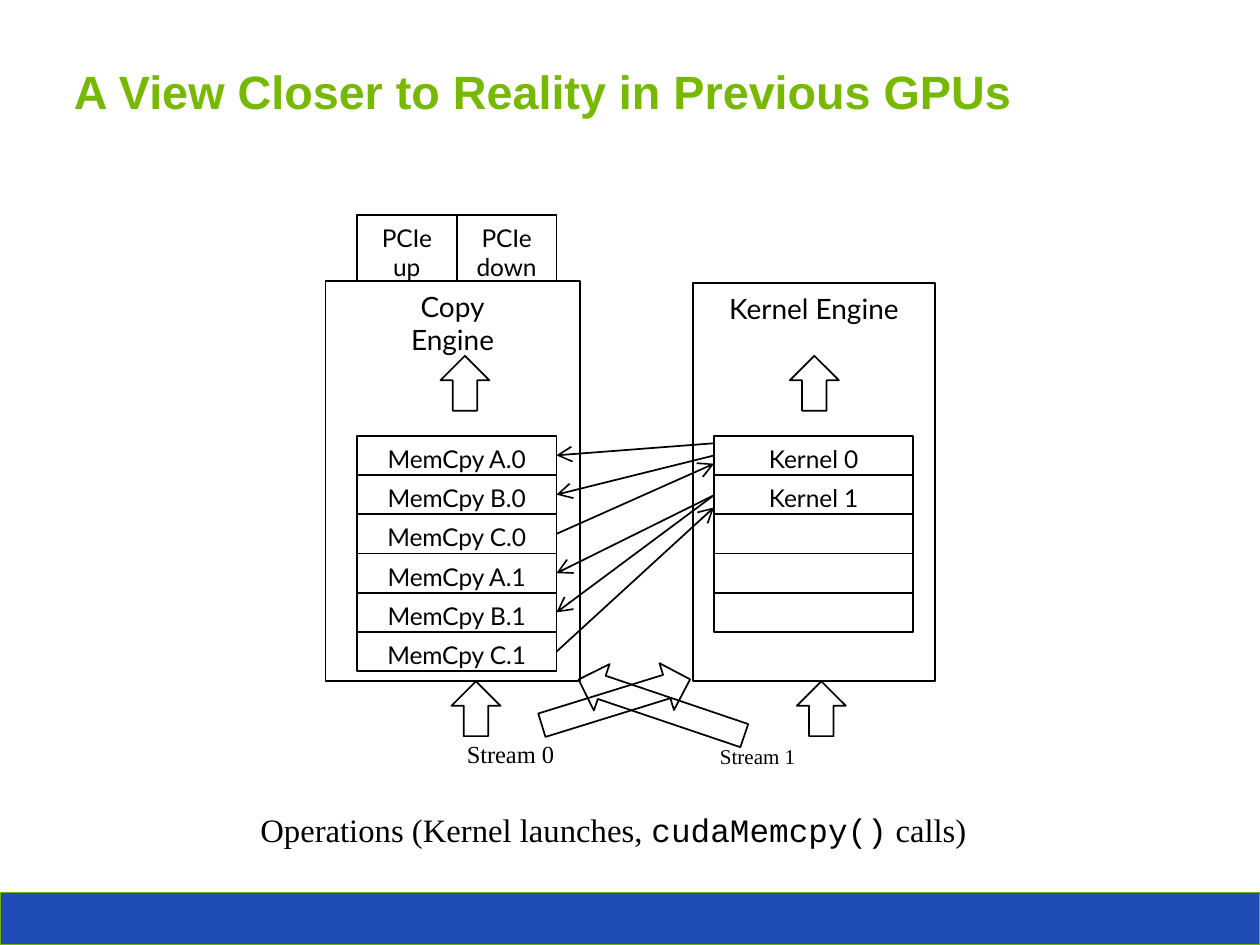
"""Builds a slide showing how streams feed the copy and kernel engines of earlier GPUs."""
from dataclasses import dataclass

from lxml import etree
from pptx import Presentation
from pptx.dml.color import RGBColor
from pptx.enum.shapes import MSO_CONNECTOR, MSO_SHAPE
from pptx.enum.text import MSO_ANCHOR, MSO_AUTO_SIZE, PP_ALIGN
from pptx.oxml.ns import qn
from pptx.util import Pt

RECTANGLE, UP_ARROW = MSO_SHAPE.RECTANGLE, MSO_SHAPE.UP_ARROW
STRAIGHT = MSO_CONNECTOR.STRAIGHT
TOP, MIDDLE = MSO_ANCHOR.TOP, MSO_ANCHOR.MIDDLE
LEFT, CENTER = PP_ALIGN.LEFT, PP_ALIGN.CENTER
NO_AUTOFIT = MSO_AUTO_SIZE.NONE


@dataclass(frozen=True)
class Theme:
    ink: RGBColor = RGBColor(0x00, 0x00, 0x00)
    title: RGBColor = RGBColor(0x76, 0xB9, 0x00)
    bar: RGBColor = RGBColor(0x20, 0x4D, 0xB5)
    bar_edge: RGBColor = RGBColor(0x72, 0xB4, 0x00)
    line: Pt = Pt(0.75)
    title_size: Pt = Pt(20)
    caption_size: Pt = Pt(14)
    engine_size: Pt = Pt(12)
    label_size: Pt = Pt(10.5)
    small_size: Pt = Pt(9)
    title_font: str = "Arial"
    diagram_font: str = "Lato"
    text_font: str = "Times New Roman"
    code_font: str = "Courier New"


theme = Theme()
deck = Presentation()
deck.slide_width, deck.slide_height = Pt(540), Pt(405)
page = deck.slides.add_slide(deck.slide_layouts[5])


def add_outline(kind, left, top, width, height, text="", size=theme.label_size):
    """Add an unfilled outlined shape with centred text at its top."""
    shape = page.shapes.add_shape(kind, Pt(left), Pt(top), Pt(width), Pt(height))
    shape.shadow.inherit = False
    shape.fill.background()
    shape.line.color.rgb = theme.ink
    shape.line.width = theme.line
    if text:
        frame = shape.text_frame
        frame.text = text
        frame.vertical_anchor = TOP
        for para in frame.paragraphs:
            para.alignment = CENTER
            para.font.name = theme.diagram_font
            para.font.size = size
            para.font.color.rgb = theme.ink
    return shape


def add_label(left, top, width, height, spans, size):
    """Add an unwrapped text box from (text, font) spans."""
    box = page.shapes.add_textbox(Pt(left), Pt(top), Pt(width), Pt(height))
    box.text_frame.word_wrap = False
    para = box.text_frame.paragraphs[0]
    para.font.size = size
    para.font.color.rgb = theme.ink
    for text, font in spans:
        span = para.add_run()
        span.text = text
        span.font.name = font


bar = add_outline(RECTANGLE, 0, 382.5, 540, 22.5)
bar.fill.solid()
bar.fill.fore_color.rgb = theme.bar
bar.line.color.rgb = theme.bar_edge

title = page.shapes.title
title.left, title.top, title.width, title.height = Pt(24.5), Pt(23), Pt(491), Pt(32)
title.text_frame.text = "A View Closer to Reality in Previous GPUs"
title.text_frame.auto_size = NO_AUTOFIT
title.text_frame.vertical_anchor = MIDDLE
heading = title.text_frame.paragraphs[0]
heading.alignment = LEFT
heading.font.name = theme.title_font
heading.font.size = theme.title_size
heading.font.bold = True
heading.font.color.rgb = theme.title

add_outline(RECTANGLE, 139.5, 120.5, 109, 171.5, "Copy\nEngine", theme.engine_size)
add_outline(RECTANGLE, 297, 121.25, 103.75, 170.75, "Kernel Engine", theme.engine_size)

copy_left, kernel_left, row_top, row_width, row_height = 153, 306, 186.75, 85.5, 16.83
copy_right = copy_left + row_width

for index, direction in enumerate(("up", "down")):
    add_outline(RECTANGLE, copy_left + index * row_width / 2, 92, row_width / 2, 28.5,
                f"PCIe {direction}")

queues = (
    (copy_left, ("MemCpy A.0", "MemCpy B.0", "MemCpy C.0",
                 "MemCpy A.1", "MemCpy B.1", "MemCpy C.1")),
    (kernel_left, ("Kernel 0", "Kernel 1", "", "", "")),
)
for left, operations in queues:
    for row, operation in enumerate(operations):
        add_outline(RECTANGLE, left, row_top + row * row_height, row_width, row_height, operation)

for left, top in ((188.75, 152.5), (338.5, 152.5), (193.5, 292), (341.5, 292)):
    add_outline(UP_ARROW, left, top, 21, 23.5)
for left, top, height, angle in ((253.5, 267.75, 66.5, 72.8), (273, 265.75, 75, 288.7)):
    add_outline(UP_ARROW, left, top, 21, height).rotation = angle

dependencies = ((190, False), (195.25, False), (198.75, True),
                (212.25, False), (212.25, False), (217.5, True))
for row, (kernel_y, into_kernel) in enumerate(dependencies):
    start = (kernel_left, kernel_y)
    end = (copy_right, row_top + (row + 0.5) * row_height)
    if into_kernel:
        start, end = end, start
    arrow = page.shapes.add_connector(STRAIGHT, *(Pt(value) for value in start + end))
    arrow.line.color.rgb = theme.ink
    arrow.line.width = theme.line
    etree.SubElement(arrow.line._get_or_add_ln(), qn("a:tailEnd"), type="arrow")
    etree.SubElement(arrow._element.spPr, qn("a:effectLst"))

add_label(193, 313.25, 52.5, 20, [("Stream 0", theme.text_font)], theme.label_size)
add_label(301.5, 315.25, 47, 18, [("Stream 1", theme.text_font)], theme.small_size)
add_label(104.5, 343.5, 319, 24.5, [
    ("Operations (Kernel launches, ", theme.text_font),
    ("cudaMemcpy()", theme.code_font),
    (" calls)", theme.text_font),
], theme.caption_size)

deck.save("out.pptx")
